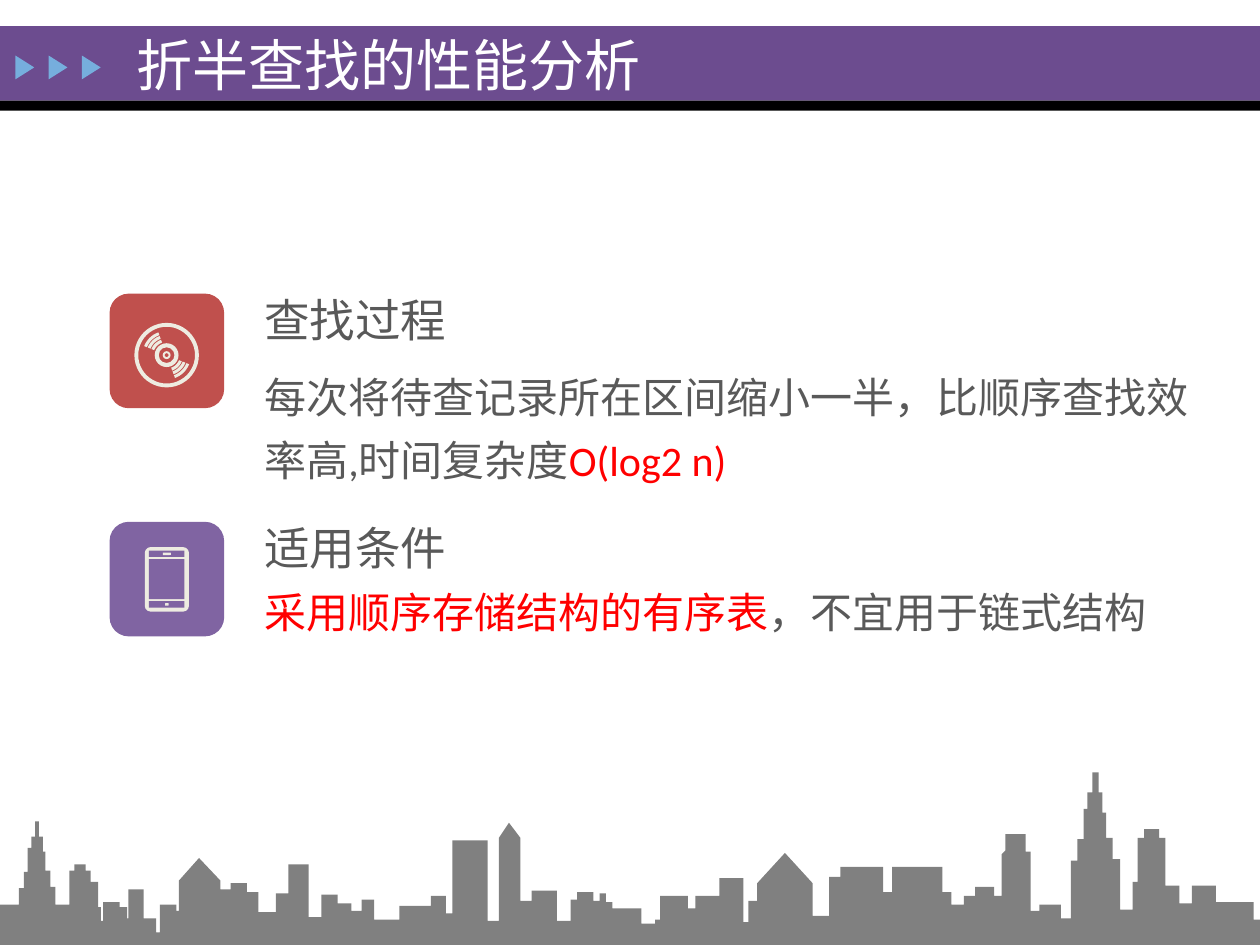
from math import cos, radians, sin

from pptx import Presentation
from pptx.dml.color import RGBColor
from pptx.enum.shapes import MSO_SHAPE
from pptx.enum.text import MSO_ANCHOR, MSO_AUTO_SIZE, PP_ALIGN
from pptx.util import Cm, Pt

CREAM = "EEECE1"
GRAY = "595959"
RED = "FF0000"
PURPLE = "8064A2"

SKYLINE_UNIT = Cm(0.0254)
SKYLINE_WIDTH = 1000
ROOFS = [
    (0, 32), (15, 45), (19, 58), (22, 77), (25, 86), (28, 98), (31, 86), (34, 74),
    (36, 59), (40, 46), (44, 32), (55, 59), (59, 64), (68, 59), (72, 50), (78, 30),
    (80, 19), (82, 34), (95, 30), (101, 21), (102, 44), (114, 21), (124, 10),
    (127, 32), (140, 27), (142, 51), (175, 44), (183, 49), (196, 42), (205, 26),
    (219, 41), (229, 64), (245, 22), (255, 40), (268, 33), (279, 27), (287, 36),
    (297, 20), (317, 31), (342, 39), (354, 25), (359, 83), (387, 19), (396, 85),
    (413, 35), (422, 43), (442, 19), (453, 36), (458, 42), (471, 35), (476, 41),
    (481, 34), (486, 29), (509, 17), (520, 20), (524, 39), (546, 29), (552, 39),
    (571, 53), (590, 18), (594, 35), (601, 49), (645, 23), (658, 54), (667, 62),
    (701, 42), (708, 62), (748, 42), (755, 32), (765, 39), (774, 46), (789, 39),
    (795, 72), (798, 88), (814, 74), (818, 27), (825, 32), (842, 21), (850, 67),
    (855, 84), (860, 108), (863, 121), (867, 137), (872, 121), (875, 105), (878, 85),
    (883, 68), (889, 28), (899, 50), (903, 85), (908, 92), (920, 85), (925, 47),
    (936, 33), (946, 47), (965, 34), (995, 20),
]
GABLES = {142: (158, 69), 396: (404, 97), 601: (623, 73), 795: (798, 75)}


def color(value):
    return RGBColor.from_string(value)


def paint(shape, fill):
    shape.shadow.inherit = False
    shape.fill.solid()
    shape.fill.fore_color.rgb = color(fill)
    shape.line.fill.background()
    return shape


def add_block(shapes, kind, left, top, width, height, fill):
    block = shapes.add_shape(kind, Cm(left), Cm(top), Cm(width), Cm(height))
    return paint(block, fill)


def format_span(span, size, fill):
    span.font.name = "Calibri"
    span.font.size = Pt(size)
    span.font.color.rgb = color(fill)


def add_text(page, left, top, width, height, size, spans, wrap=True, spacing=None):
    box = page.shapes.add_textbox(Cm(left), Cm(top), Cm(width), Cm(height))
    frame = box.text_frame
    frame.word_wrap = wrap
    frame.margin_left = frame.margin_right = Cm(0.33)
    frame.margin_top = frame.margin_bottom = Cm(0.18)
    para = frame.paragraphs[0]
    para.line_spacing = spacing
    for text, fill in spans:
        span = para.add_run()
        span.text = text
        format_span(span, size, fill)


def add_header(page, top, text):
    shapes = page.shapes
    add_block(shapes, MSO_SHAPE.RECTANGLE, 0, top, 25.4, 1.5, "6C4C8F")
    add_block(shapes, MSO_SHAPE.RECTANGLE, 0, top + 1.5, 25.4, 0.2, "000000")
    arrows = shapes.add_group_shape().shapes
    for index in range(3):
        arrow = add_block(arrows, MSO_SHAPE.ISOSCELES_TRIANGLE,
                          0.26 + 0.67 * index, top + 0.64, 0.48, 0.38, "76AEDD")
        arrow.rotation = 90
    title = shapes.title
    title.left, title.top, title.width, title.height = Cm(2.49), Cm(top + 0.05), Cm(20.62), Cm(1.42)
    frame = title.text_frame
    frame.text = text
    frame.auto_size = MSO_AUTO_SIZE.NONE
    frame.vertical_anchor = MSO_ANCHOR.MIDDLE
    para = frame.paragraphs[0]
    para.alignment = PP_ALIGN.LEFT
    format_span(para.runs[0], 32, "FFFFFF")
    shapes._spTree.append(title._element)


def add_groove(shapes, center_x, center_y, radius, start):
    angles = range(start, start + 49, 6)
    rim = [(radius + 0.03, angle) for angle in angles]
    rim += [(radius - 0.03, angle) for angle in reversed(angles)]
    points = [(Cm(center_x + reach * cos(radians(angle))),
               Cm(center_y + reach * sin(radians(angle)))) for reach, angle in rim]
    builder = shapes.build_freeform(*points[0])
    builder.add_line_segments(points[1:])
    paint(builder.convert_to_shape(), CREAM)


def add_disc(shapes, left, top):
    center_x, center_y = left + 1.15, top + 1.24
    for size, thickness in ((1.3, 0.06), (0.48, 0.17), (0.16, 0.25)):
        ring = add_block(shapes, MSO_SHAPE.DONUT, center_x - size / 2,
                         center_y - size / 2, size, size, CREAM)
        ring.adjustments[0] = thickness
    for radius in (0.3, 0.38, 0.46):
        for start in (22, 202):
            add_groove(shapes, center_x, center_y, radius, start)


def add_phone(shapes, left, top):
    body = add_block(shapes, MSO_SHAPE.ROUNDED_RECTANGLE, left + 0.71, top + 0.51, 0.89, 1.3, CREAM)
    body.adjustments[0] = 0.13
    for offset, height in ((0.58, 0.13), (0.75, 0.81), (1.6, 0.13)):
        add_block(shapes, MSO_SHAPE.RECTANGLE, left + 0.79, top + offset, 0.72, height, PURPLE)
    for width, offset in ((0.16, 0.62), (0.07, 1.64)):
        add_block(shapes, MSO_SHAPE.ROUNDED_RECTANGLE, left + 1.155 - width / 2,
                  top + offset, width, 0.05, CREAM)


def add_topic(page, left, top, fill, add_icon, heading, spans, height, spacing=None):
    shapes = page.shapes.add_group_shape().shapes
    add_block(shapes, MSO_SHAPE.ROUNDED_RECTANGLE, left, top, 2.31, 2.31, fill)
    add_icon(shapes, left, top)
    text_left = left + 2.79
    add_text(page, text_left, top - 0.21, 4.39, 1.45, 26, [(heading, GRAY)], wrap=False)
    add_text(page, text_left, top + 1.13, 19.71, height, 24, spans, spacing=spacing)


def add_skyline(page, left, bottom):
    ends = [x for x, _ in ROOFS[1:]] + [SKYLINE_WIDTH]
    points = []
    for (start, height), end in zip(ROOFS, ends):
        points.append((start, -height))
        if start in GABLES:
            x, peak = GABLES[start]
            points.append((x, -peak))
        points.append((end, -height))
    points.append((SKYLINE_WIDTH, 0))
    builder = page.shapes.build_freeform(0, 0, scale=SKYLINE_UNIT)
    builder.add_line_segments(points)
    paint(builder.convert_to_shape(Cm(left), Cm(bottom)), "808080")


def main():
    deck = Presentation()
    deck.slide_width, deck.slide_height = Cm(25.4), Cm(19.05)
    page = deck.slides.add_slide(deck.slide_layouts[5])
    add_header(page, 0.53, "折半查找的性能分析")
    add_topic(page, 2.21, 5.92, "C0504D", add_disc, "查找过程",
              [("每次将待查记录所在区间缩小一半，比顺序查找效率高,时间复杂度", GRAY),
               ("O(log2 n)", RED)], 2.79, spacing=1.25)
    add_topic(page, 2.21, 10.52, PURPLE, add_phone, "适用条件",
              [("采用顺序存储结构的有序表", RED), ("，不宜用于链式结构", GRAY)], 1.37)
    add_skyline(page, 0, 19.05)
    deck.save("out.pptx")


if __name__ == "__main__":
    main()
